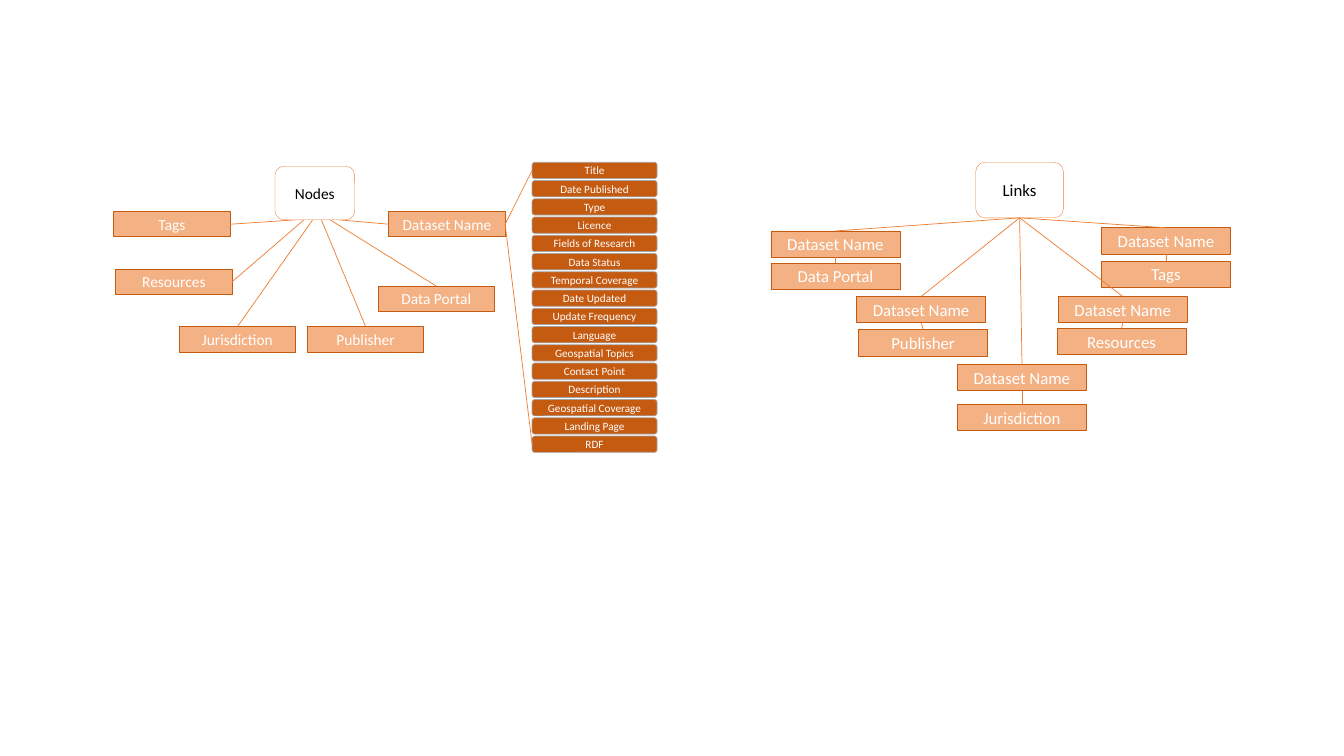
"""Build a slide that maps the node types and link types of a dataset graph."""
from dataclasses import dataclass
from enum import IntEnum

from lxml.etree import SubElement
from pptx import Presentation
from pptx.dml.color import RGBColor
from pptx.enum.shapes import MSO_CONNECTOR as Connector, MSO_SHAPE as Preset
from pptx.enum.text import MSO_ANCHOR as Anchor, PP_ALIGN as Align
from pptx.oxml.ns import qn
from pptx.shapes.autoshape import Shape
from pptx.shapes.shapetree import GroupShapes
from pptx.util import Cm, Pt

WHITE = RGBColor(0xFF, 0xFF, 0xFF)
BLACK = RGBColor(0x00, 0x00, 0x00)
ORANGE = RGBColor(0xED, 0x7D, 0x31)
PEACH = RGBColor(0xF4, 0xB1, 0x83)
RUST = RGBColor(0xC5, 0x5A, 0x11)
GRAY = RGBColor(0xA5, 0xA5, 0xA5)


class Side(IntEnum):
    """Connection sites of a box."""
    TOP = 0
    LEFT = 1
    BOTTOM = 2
    RIGHT = 3


@dataclass(frozen=True)
class Style:
    """Look of one kind of box."""
    preset: Preset
    fill: RGBColor
    outline: RGBColor
    outline_pt: float
    ink: RGBColor
    font_pt: int
    width: float
    height: float


@dataclass(frozen=True)
class Node:
    """Node type and the side that faces the hub."""
    label: str
    left: float
    top: float
    side: Side


@dataclass(frozen=True)
class Link:
    """Dataset box and the topic box below it."""
    topic: str
    left: float
    top: float
    topic_left: float
    topic_top: float


NODES_HUB = Style(Preset.ROUNDED_RECTANGLE, WHITE, ORANGE, 0.25, BLACK, 11, 2.01, 1.35)
LINKS_HUB = Style(Preset.ROUNDED_RECTANGLE, WHITE, ORANGE, 0.25, BLACK, 12, 2.21, 1.4)
NODE_BOX = Style(Preset.RECTANGLE, PEACH, RUST, 0.5, WHITE, 11, 2.93, 0.64)
LINK_BOX = Style(Preset.RECTANGLE, PEACH, RUST, 0.5, WHITE, 12, 3.25, 0.66)
FIELD_BOX = Style(Preset.ROUNDED_RECTANGLE, RUST, GRAY, 0.5, WHITE, 8, 3.15, 0.41)

DATASET = "Dataset Name"
NODES = (
    Node("Tags", 2.87, 5.33, Side.RIGHT),
    Node("Resources", 2.92, 6.78, Side.RIGHT),
    Node("Jurisdiction", 4.52, 8.23, Side.TOP),
    Node("Publisher", 7.75, 8.23, Side.TOP),
    Node("Data Portal", 9.53, 7.21, Side.TOP),
    Node(DATASET, 9.8, 5.33, Side.LEFT),
)
FIRST_SPOKE, SPOKE_GAP, SPOKE_TOP = 7.44, 0.22, 5.54

FIELDS = (
    "Title", "Date Published", "Type", "Licence", "Fields of Research", "Data Status",
    "Temporal Coverage", "Date Updated", "Update Frequency", "Language",
    "Geospatial Topics", "Contact Point", "Description", "Geospatial Coverage",
    "Landing Page", "RDF",
)
FIELD_LEFT, FIELD_TOP, FIELD_PITCH = 13.41, 4.09, 0.46

LINKS = (
    Link("Tags", 27.76, 5.74, 27.76, 6.58),
    Link("Resources", 26.67, 7.47, 26.64, 8.28),
    Link("Jurisdiction", 24.13, 9.19, 24.13, 10.19),
    Link("Publisher", 21.59, 7.47, 21.64, 8.31),
    Link("Data Portal", 19.43, 5.82, 19.43, 6.63),
)


def add_box(shapes: GroupShapes, label: str, left: float, top: float, style: Style) -> Shape:
    """Add a labelled box in the given style."""
    box = shapes.add_shape(style.preset, Cm(left), Cm(top), Cm(style.width), Cm(style.height))
    box.shadow.inherit = False
    box.fill.solid()
    box.fill.fore_color.rgb = style.fill
    box.line.color.rgb = style.outline
    box.line.width = Pt(style.outline_pt)
    frame = box.text_frame
    frame.word_wrap = True
    frame.vertical_anchor = Anchor.MIDDLE
    frame.margin_left = frame.margin_right = frame.margin_top = frame.margin_bottom = 0
    paragraph = frame.paragraphs[0]
    paragraph.alignment = Align.CENTER
    run = paragraph.add_run()
    run.text = label
    run.font.name = "Calibri"
    run.font.size = Pt(style.font_pt)
    run.font.color.rgb = style.ink
    return box


def add_spoke(shapes: GroupShapes, x: float, y: float, target: Shape, side: Side):
    """Add a line from a point to one side of a box."""
    spoke = shapes.add_connector(Connector.STRAIGHT, Cm(x), Cm(y), Cm(x), Cm(y))
    spoke.end_connect(target, side)
    spoke.line.color.rgb = ORANGE
    spoke.line.width = Pt(0.5)
    SubElement(spoke.line._get_or_add_ln().getparent(), qn("a:effectLst"))
    return spoke


def join(shapes: GroupShapes, source: Shape, source_side: Side, target: Shape, side: Side) -> None:
    """Join two boxes with a line."""
    add_spoke(shapes, 0, 0, target, side).begin_connect(source, source_side)


def draw_nodes(shapes: GroupShapes) -> None:
    """Draw the node types and the fields of a dataset."""
    boxes = {node.label: add_box(shapes, node.label, node.left, node.top, NODE_BOX)
             for node in NODES}
    fields = [add_box(shapes, field, FIELD_LEFT, FIELD_TOP + row * FIELD_PITCH, FIELD_BOX)
              for row, field in enumerate(FIELDS)]
    for index, node in enumerate(NODES):
        add_spoke(shapes, FIRST_SPOKE + index * SPOKE_GAP, SPOKE_TOP, boxes[node.label], node.side)
    for field in (fields[0], fields[-1]):
        join(shapes, boxes[DATASET], Side.RIGHT, field, Side.LEFT)
    add_box(shapes, "Nodes", 6.93, 4.19, NODES_HUB)


def draw_links(shapes: GroupShapes) -> None:
    """Draw the link types between a dataset and its topics."""
    hub = add_box(shapes, "Links", 24.59, 4.09, LINKS_HUB)
    pairs = [(add_box(shapes, DATASET, link.left, link.top, LINK_BOX),
              add_box(shapes, link.topic, link.topic_left, link.topic_top, LINK_BOX))
             for link in LINKS]
    for dataset, topic in pairs:
        join(shapes, dataset, Side.BOTTOM, topic, Side.TOP)
        join(shapes, hub, Side.BOTTOM, dataset, Side.TOP)


def main() -> None:
    """Build and save the slide."""
    deck = Presentation()
    deck.slide_width, deck.slide_height = Cm(33.87), Cm(19.05)
    slide = deck.slides.add_slide(deck.slide_layouts[6])
    for draw in (draw_links, draw_nodes):
        draw(slide.shapes.add_group_shape().shapes)
    deck.save("out.pptx")


if __name__ == "__main__":
    main()
